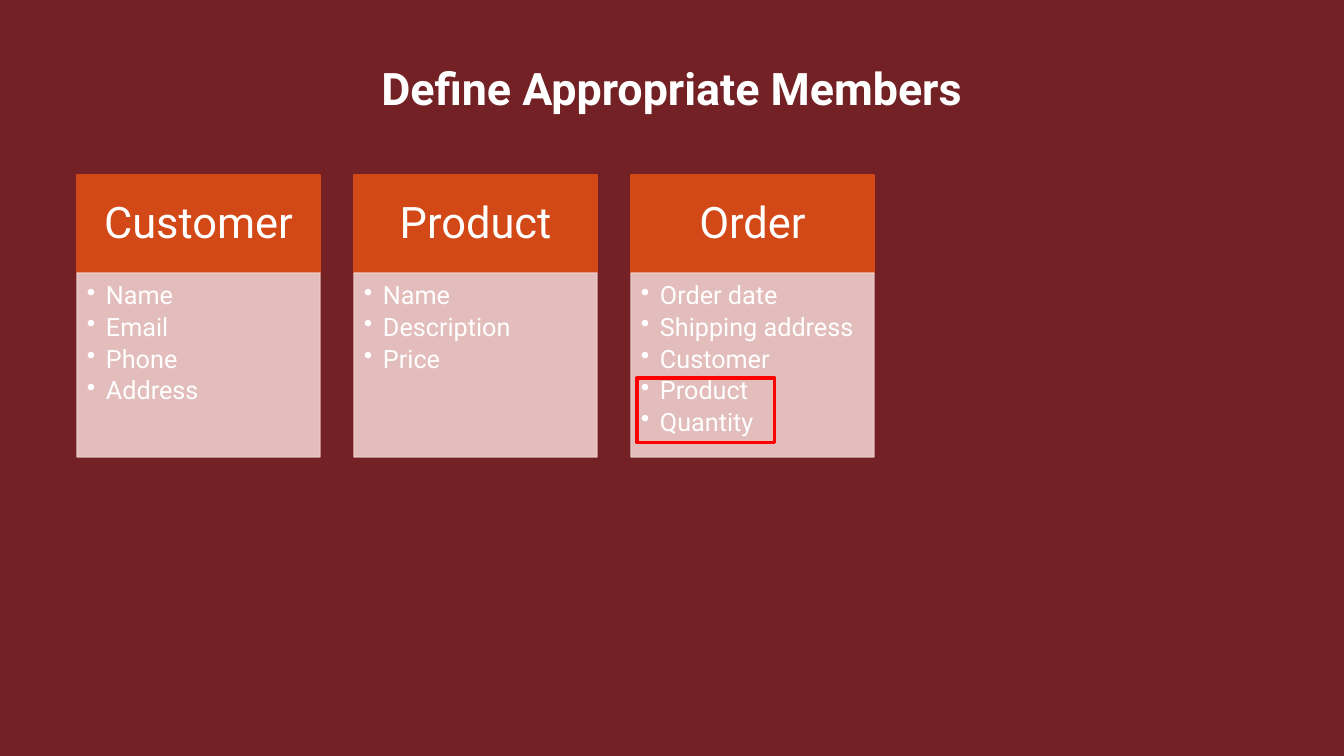
from lxml.etree import SubElement
from pptx import Presentation
from pptx.dml.color import RGBColor
from pptx.enum.shapes import MSO_SHAPE
from pptx.enum.text import MSO_ANCHOR, PP_ALIGN
from pptx.oxml.ns import qn
from pptx.util import Emu, Pt

SLIDE_WIDTH, SLIDE_HEIGHT = 1344, 756
EMU_PER_PX = 914400 / 100.8
FONT = "Roboto"
COLORS = {
    "background": "732124",
    "header": "D34817",
    "body": "EFCFCC",
    "text": "FFFFFF",
    "highlight": "FF0000",
}
ENTITIES = {
    "Customer": ["Name", "Email", "Phone", "Address"],
    "Product": ["Name", "Description", "Price"],
    "Order": ["Order date", "Shipping address", "Customer", "Product", "Quantity"],
}
CARD_LEFT, CARD_TOP, CARD_WIDTH, CARD_PITCH = 77, 175, 243, 277
HEADER_HEIGHT, BODY_HEIGHT = 98, 184
BULLET_INDENT = 19


def px(length):
    return Emu(round(length * EMU_PER_PX))


def color(name):
    return RGBColor.from_string(COLORS[name])


def set_font(paragraph, size, bold=False):
    font = paragraph.font
    font.name, font.size, font.bold = FONT, Pt(size), bold
    font.color.rgb = color("text")


def set_frame(frame, insets, anchor):
    """Set wrapping, anchor and the left, top, right and bottom insets."""
    frame.word_wrap = True
    frame.vertical_anchor = anchor
    (frame.margin_left, frame.margin_top,
     frame.margin_right, frame.margin_bottom) = map(px, insets)


def add_bullet(paragraph):
    properties = paragraph._p.get_or_add_pPr()
    properties.set("marL", str(px(BULLET_INDENT)))
    properties.set("indent", str(-px(BULLET_INDENT)))
    SubElement(properties, qn("a:buChar"), char="•")


def add_panel(slide, box, color_name, alpha=100):
    """Add a rectangle filled and outlined in one colour, alpha in percent."""
    panel = slide.shapes.add_shape(MSO_SHAPE.RECTANGLE, *map(px, box))
    panel.shadow.inherit = False
    panel.line.width = Pt(0.85)
    for fill in (panel.fill, panel.line.fill):
        fill.solid()
        fill.fore_color.rgb = color(color_name)
    if alpha < 100:
        for color_element in panel._element.spPr.iter(qn("a:srgbClr")):
            SubElement(color_element, qn("a:alpha"), val=str(alpha * 1000))
    return panel


def add_title(slide, box, text):
    frame = slide.shapes.add_textbox(*map(px, box)).text_frame
    set_frame(frame, (10, 5, 10, 5), MSO_ANCHOR.MIDDLE)
    paragraph = frame.paragraphs[0]
    paragraph.text = text
    paragraph.alignment = PP_ALIGN.CENTER
    set_font(paragraph, 32, bold=True)


def add_entity_card(slide, left, top, name, members):
    header = add_panel(slide, (left, top, CARD_WIDTH, HEADER_HEIGHT), "header")
    set_frame(header.text_frame, (24, 14, 24, 14), MSO_ANCHOR.MIDDLE)
    heading = header.text_frame.paragraphs[0]
    heading.text = name
    heading.alignment = PP_ALIGN.CENTER
    heading.line_spacing = 0.9
    set_font(heading, 31)

    body_box = (left, top + HEADER_HEIGHT, CARD_WIDTH, BODY_HEIGHT)
    body = add_panel(slide, body_box, "body", alpha=90)
    set_frame(body.text_frame, (10, 10, 14, 16), MSO_ANCHOR.TOP)
    body.text_frame.text = "\n".join(members)
    for paragraph in body.text_frame.paragraphs:
        paragraph.alignment = PP_ALIGN.LEFT
        paragraph.line_spacing = 0.9
        paragraph.space_after = Pt(3.2)
        add_bullet(paragraph)
        set_font(paragraph, 18)


def add_highlight(slide, box):
    frame = slide.shapes.add_shape(MSO_SHAPE.RECTANGLE, *map(px, box))
    frame.shadow.inherit = False
    frame.fill.background()
    frame.line.color.rgb = color("highlight")
    frame.line.width = Pt(2.25)


def main():
    presentation = Presentation()
    presentation.slide_width = px(SLIDE_WIDTH)
    presentation.slide_height = px(SLIDE_HEIGHT)
    slide = presentation.slides.add_slide(presentation.slide_layouts[6])
    slide.background.fill.solid()
    slide.background.fill.fore_color.rgb = color("background")

    for index, (name, members) in enumerate(ENTITIES.items()):
        add_entity_card(slide, CARD_LEFT + index * CARD_PITCH, CARD_TOP, name, members)
    add_title(slide, (316, 55, 712, 65), "Define Appropriate Members")
    add_highlight(slide, (637, 378, 138, 65))
    presentation.save("out.pptx")


if __name__ == "__main__":
    main()
